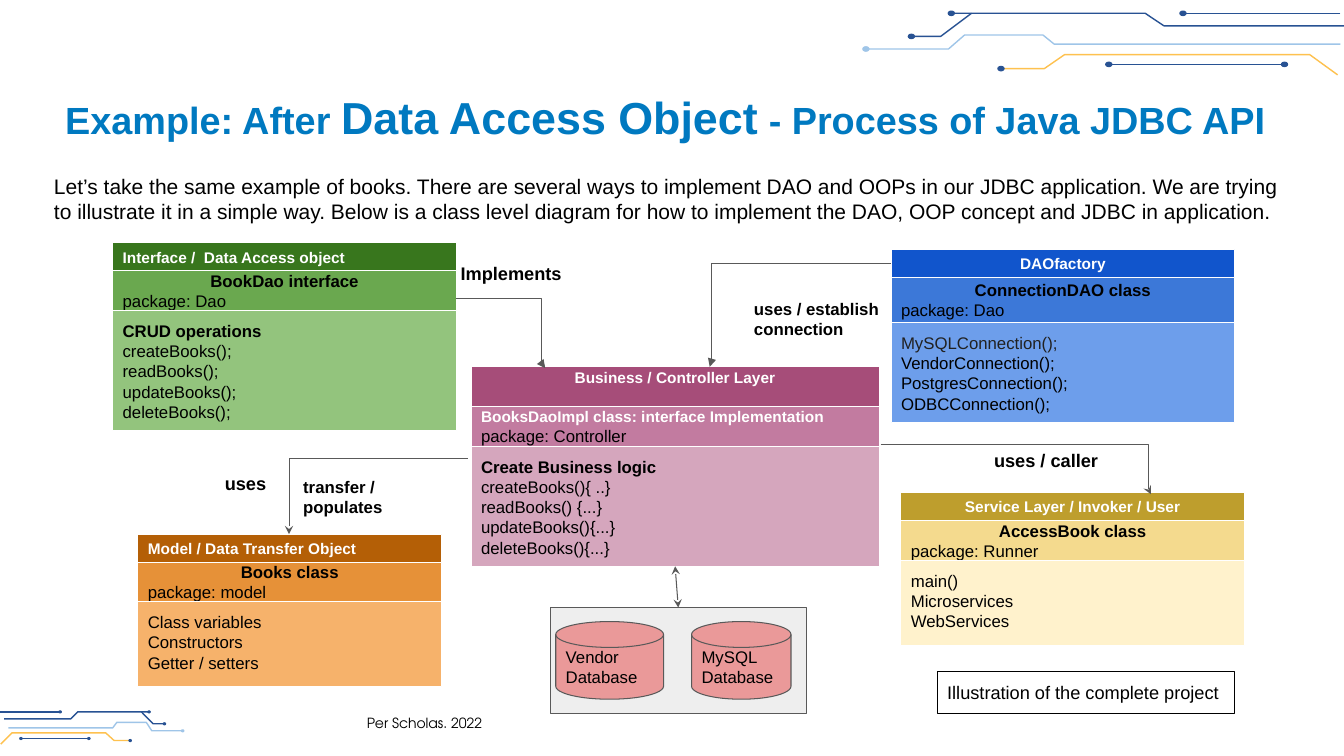
import pptx
import pptx.util
import pptx.dml.color
import pptx.enum.shapes
import pptx.enum.text
import pptx.oxml
import pptx.oxml.ns

Pt = pptx.util.Pt
RGB = pptx.dml.color.RGBColor
KIND = pptx.enum.shapes.MSO_SHAPE
WIRE = pptx.enum.shapes.MSO_CONNECTOR
ANCHOR = pptx.enum.text.MSO_ANCHOR
ALIGN = pptx.enum.text.PP_ALIGN
TOP, MIDDLE = ANCHOR.TOP, ANCHOR.MIDDLE
LEFT, CENTER = ALIGN.LEFT, ALIGN.CENTER

BLACK, WHITE = RGB(0, 0, 0), RGB(255, 255, 255)
INK, GRAY, PALE = RGB(0x21, 0x21, 0x21), RGB(0x59, 0x59, 0x59), RGB(0xEE, 0xEE, 0xEE)
TITLE, PINK = RGB(0, 0x79, 0xC0), RGB(0xEA, 0x99, 0x99)
NAVY, SKY, GOLD = RGB(0x28, 0x52, 0x93), RGB(0x9F, 0xC5, 0xE8), RGB(0xFE, 0xC1, 0x4F)
GREENS = RGB(0x38, 0x76, 0x1D), RGB(0x6A, 0xA8, 0x4F), RGB(0x93, 0xC4, 0x7D)
BLUES = RGB(0x11, 0x55, 0xCC), RGB(0x3C, 0x78, 0xD8), RGB(0x6D, 0x9E, 0xEB)
PLUMS = RGB(0xA6, 0x4D, 0x79), RGB(0xC2, 0x7B, 0xA0), RGB(0xD5, 0xA6, 0xBD)
RUSTS = RGB(0xB4, 0x5F, 0x06), RGB(0xE6, 0x91, 0x38), RGB(0xF6, 0xB2, 0x6B)
SANDS = RGB(0xBE, 0x9E, 0x2D), RGB(0xF4, 0xDA, 0x8E), RGB(0xFF, 0xF2, 0xCC)
PLAIN = {"name": "Arial", "size": Pt(12), "bold": False}
INSET = Pt(7.2)


def span(text, size=12, bold=False, color=BLACK, name="Arial"):
    return text, {"size": Pt(size), "bold": bold, "name": name}, color


def write(shape, paras, anchor=TOP, top=INSET):
    """Fill a shape with paragraphs, each given as (alignment, spans)."""
    frame = shape.text_frame
    look = {"word_wrap": True, "vertical_anchor": anchor, "margin_left": INSET,
            "margin_right": INSET, "margin_top": top, "margin_bottom": INSET}
    for key, value in look.items():
        setattr(frame, key, value)
    for i, (align, spans) in enumerate(paras):
        para = frame.add_paragraph() if i else frame.paragraphs[0]
        para.alignment = align
        for text, form, color in spans:
            run = para.add_run()
            run.text = text
            for key, value in {**PLAIN, **form}.items():
                setattr(run.font, key, value)
            run.font.color.rgb = color


def block(slide, kind, box, fill, edge):
    shape = slide.shapes.add_shape(kind, *map(Pt, box))
    shape.shadow.inherit = False
    if fill is None:
        shape.fill.background()
    else:
        shape.fill.solid()
        shape.fill.fore_color.rgb = fill
    shape.line.color.rgb = edge
    shape.line.width = Pt(0.75)
    return shape


def label(slide, box, *spans):
    write(slide.shapes.add_textbox(*map(Pt, box)), [(LEFT, spans)])


def wire(slide, start, end, kind=WIRE.STRAIGHT, color=GRAY, width=0.75, head=None, tail=None):
    line = slide.shapes.add_connector(kind, *map(Pt, start + end))
    line.line.color.rgb = color
    line.line.width = Pt(width)
    pen = line.line._get_or_add_ln()
    for tag, tip in (("a:headEnd", head), ("a:tailEnd", tail)):
        if tip:
            node = pptx.oxml.parse_xml(f"<{tag} {pptx.oxml.ns.nsdecls('a')} type='{tip}'/>")
            pen.append(node)
    none = pptx.oxml.parse_xml(f"<a:effectLst {pptx.oxml.ns.nsdecls('a')}/>")
    line._element.spPr.append(none)
    return line


def elbow(slide, start, end, tail, bend=None):
    """Bend at a share of the width, or turn only once when there is none."""
    geom = wire(slide, start, end, WIRE.ELBOW, tail=tail)._element.spPr.prstGeom
    if bend is None:
        geom.set("prst", "bentConnector2")
    else:
        gap = geom.get_or_add_avLst()
        gap.append(pptx.oxml.parse_xml(
            f"<a:gd {pptx.oxml.ns.nsdecls('a')} name='adj1' fmla='val {round(bend * 100000)}'/>"))


def circuit(slide, traces, wide, high):
    """Each trace has its colour, dot colour, points and the points with dots."""
    for color, tint, points, ends in traces:
        if len(points) == 2:
            wire(slide, *points, color=color, width=1)
        else:
            spots = [(Pt(x), Pt(y)) for x, y in points]
            pen = slide.shapes.build_freeform(*spots[0])
            pen.add_line_segments(spots[1:], close=False)
            shape = pen.convert_to_shape()
            shape.shadow.inherit = False
            shape.fill.background()
            shape.line.color.rgb = color
            shape.line.width = Pt(1)
        for end in ends:
            x, y = points[end]
            block(slide, KIND.OVAL, (x - wide / 2, y - high / 2, wide, high), tint, tint)


def panel(slide, box, highs, colors, head, title, rows, top=None):
    """Stack a header, a class name and a list of members."""
    x, y, w = box
    body = [(LEFT, [row]) for row in rows]
    parts = [([head], MIDDLE if top is None else TOP, INSET if top is None else top),
             (title, MIDDLE, INSET), (body, TOP, INSET)]
    for high, color, (paras, anchor, inset) in zip(highs, colors, parts):
        shape = block(slide, KIND.RECTANGLE, (x, y, w, high), color, WHITE)
        write(shape, paras, anchor, inset)
        y += high
    return shape


def named(name, home):
    return [(CENTER, [span(name, bold=True)]), (LEFT, [span(home)])]


def header(text, align=CENTER):
    return align, [span(text, 11, True, WHITE)]


def store(slide, box):
    """Gray frame with two database drums."""
    x, y, w, h = box
    frame = block(slide, KIND.RECTANGLE, box, PALE, GRAY)
    for left, wide, name in ((4, 77, "Vendor Database"), (101, 71, "MySQL Database")):
        drum = block(slide, KIND.FLOWCHART_MAGNETIC_DISK, (x + left, y + 10, wide, 55.5), PINK, GRAY)
        write(drum, [(LEFT, [span(name)])], MIDDLE)
    return frame


def diagram(slide):
    # Class panels
    panel(slide, (98.5, 381.5, 217), (20, 28.5, 60.5), RUSTS,
          header("Model / Data Transfer Object", LEFT), named("Books class", "package: model"),
          [span(t) for t in ("Class variables", "Constructors", "Getter / setters")])
    panel(slide, (80.5, 173.5, 245.5), (20, 28.5, 85.5), GREENS,
          header("Interface /  Data Access object", LEFT), named("BookDao interface", "package: Dao"),
          [span("CRUD operations", bold=True)]
          + [span(t + "Books();") for t in ("create", "read", "update", "delete")])
    panel(slide, (636.5, 178, 245.5), (20, 32.5, 71.5), BLUES,
          header("DAOfactory"), named("ConnectionDAO class", "package: Dao"),
          [span("MySQLConnection();", color=INK)]
          + [span(t + "Connection();") for t in ("Vendor", "Postgres", "ODBC")])
    logic = panel(
        slide, (336.5, 262, 291.5), (28.5, 28.5, 85.5), PLUMS, header("Business / Controller Layer"),
        [header("BooksDaoImpl class: interface Implementation", LEFT),
         (LEFT, [span("package: Controller")])],
        [span("Create Business logic", bold=True)]
        + [span(t) for t in ("createBooks(){ ..}", "readBooks() {...}",
                             "updateBooks(){...}", "deleteBooks(){...}")], top=Pt(1))
    panel(slide, (643.5, 352, 245.5), (20, 28.5, 60.5), SANDS,
          header("Service Layer / Invoker / User"), named("AccessBook class", "package: Runner"),
          [span(t) for t in ("main()", "Microservices", "WebServices")])
    frame = store(slide, (393, 434, 183, 75.5))

    # Arrows
    elbow(slide, (325.5, 213), (389.5, 263), "triangle", 0.96)
    elbow(slide, (636.5, 188), (507, 262), "triangle", 0.99)
    elbow(slide, (334, 327.5), (206.5, 381.5), "stealth")
    elbow(slide, (629, 317.5), (822, 353), "stealth", 0.99)
    link = wire(slide, (482, 404.5), (484, 434), head="stealth", tail="stealth")
    link.begin_connect(logic, 2)
    link.end_connect(frame, 0)

    # Arrow labels
    for box, text, size in (((322, 180, 122, 30), "Implements", 13),
                            ((531.5, 206, 116.5, 44), "uses / establish connection", 12),
                            ((209.5, 333, 122, 44), "transfer / populates", 12),
                            ((153.5, 330.5, 77, 30), "uses", 13),
                            ((703, 313.5, 117, 30), "uses / caller", 13)):
        label(slide, box, span(text, size, True))


def build():
    deck = pptx.Presentation()
    deck.slide_width, deck.slide_height = Pt(960), Pt(540)
    slide = deck.slides.add_slide(deck.slide_layouts[6])

    # Corner circuits
    circuit(slide, [
        (NAVY, NAVY, [(3, 513.5), (50.5, 513.5), (55.5, 508.5), (106.5, 508.5)], [-1]),
        (NAVY, NAVY, [(101, 508.5), (109.5, 517), (117.5, 517)], [-1]),
        (NAVY, NAVY, [(0, 508.5), (43, 508.5)], [-1]),
        (GOLD, NAVY, [(0.5, 531.5), (8.5, 523.5), (75.5, 523.5), (81.5, 529), (93, 529)], [-1]),
        (NAVY, NAVY, [(15, 527.5), (63.5, 527.5)], [0, 1]),
        (SKY, SKY, [(6, 520), (80.5, 520), (83.5, 516), (104.5, 516), (108.5, 522), (130.5, 522)], [-1]),
    ], 1.75, 1.5)
    circuit(slide, [
        (NAVY, NAVY, [(960, 18.5), (831.5, 18.5), (818, 9.5), (679.5, 9.5)], [-1]),
        (NAVY, NAVY, [(694, 9.5), (672, 26), (651, 26)], [-1]),
        (NAVY, NAVY, [(957.5, 9.5), (845, 9.5)], [-1]),
        (GOLD, NAVY, [(955.5, 53.5), (935.5, 39), (760.5, 39), (746, 49), (715, 49)], [-1]),
        (NAVY, NAVY, [(917.5, 46), (792, 46)], [0, 1]),
        (SKY, SKY, [(957.5, 31.5), (753, 31.5), (745, 25), (689, 25), (677.5, 35), (618.5, 35)], [-1]),
    ], 4.5, 3.25)

    # Title and introduction
    title = slide.shapes.add_textbox(Pt(39.5), Pt(55.5), Pt(882), Pt(55.5))
    write(title, [(LEFT, [span("Example: After ", 27, True, TITLE),
                          span("Data Access Object", 32, True, TITLE),
                          span(" - Process of Java JDBC API", 27, True, TITLE)])], MIDDLE)
    label(slide, (31.5, 116.5, 900, 51), span(
        "Let’s take the same example of books. There are several ways to implement DAO and OOPs "
        "in our JDBC application. We are trying to illustrate it in a simple way. Below is a class "
        "level diagram for how to implement the DAO, OOP concept and JDBC in application.", 15))

    diagram(slide)

    # Caption and footer
    note = block(slide, KIND.RECTANGLE, (669.5, 479.5, 212.5, 30), None, BLACK)
    write(note, [(LEFT, [span("Illustration of the complete project", 13)])], MIDDLE)
    label(slide, (255, 504, 122, 26.5), span("Per Scholas. 2022", 10, name="TeX Gyre Adventor"))
    deck.save("out.pptx")


if __name__ == "__main__":
    build()
